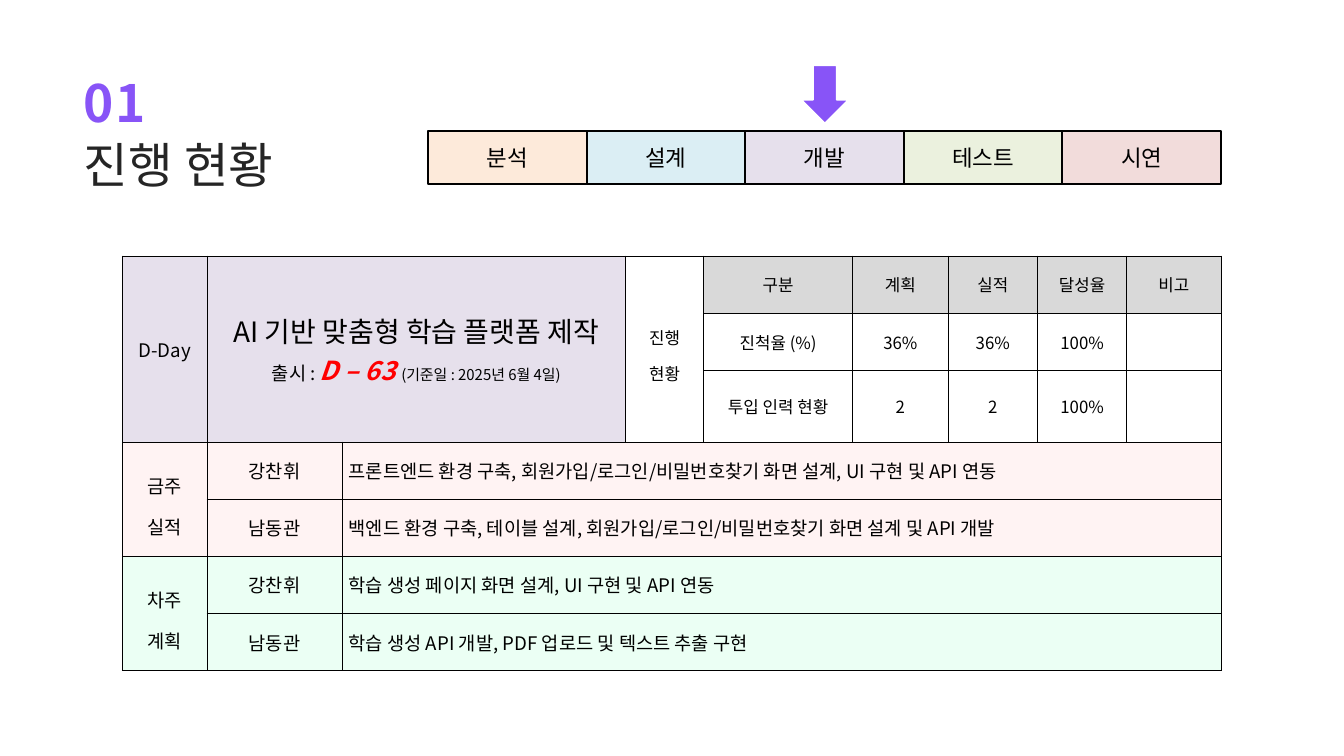
from dataclasses import dataclass

from lxml import etree
from pptx import Presentation
from pptx.dml.color import RGBColor
from pptx.enum.shapes import MSO_SHAPE
from pptx.enum.text import MSO_ANCHOR, MSO_AUTO_SIZE, PP_ALIGN
from pptx.oxml.ns import qn
from pptx.util import Pt

EMU_PER_PX = 9144  # 100 px to the inch
FONT = "Noto Sans CJK KR"
LEFT, CENTER = PP_ALIGN.LEFT, PP_ALIGN.CENTER
MIDDLE = MSO_ANCHOR.MIDDLE
FIT_TEXT = MSO_AUTO_SIZE.SHAPE_TO_FIT_TEXT
RECTANGLE, DOWN_ARROW = MSO_SHAPE.RECTANGLE, MSO_SHAPE.DOWN_ARROW

COLORS = {
    "black": "000000", "white": "FFFFFF", "ink": "252525", "red": "FF0000",
    "violet": "8854F7", "peach": "FDEADA", "sky": "DBEEF4", "lilac": "E6E0EC",
    "lime": "EBF1DE", "rose": "F2DCDB", "gray": "D9D9D9",
    "pink": "FFF3F3", "mint": "EBFFF4",
}


@dataclass(frozen=True)
class Span:
    text: str
    size: int
    color: str = "black"
    bold: bool = False
    italic: bool = False
    tracking: int = 0  # hundredths of a point


@dataclass(frozen=True)
class Line:
    spans: tuple[Span, ...]
    align: PP_ALIGN = CENTER
    spacing: object = None


@dataclass(frozen=True)
class Title:
    area: tuple[int, int, int, int]
    line: Line


@dataclass(frozen=True)
class Stage:
    name: str
    fill: str


@dataclass(frozen=True)
class Entry:
    row: int
    column: int
    lines: tuple[Line, ...]
    fill: str
    rows: int = 1
    columns: int = 1


def px(*lengths: int) -> list[int]:
    return [length * EMU_PER_PX for length in lengths]


def rgb(name: str) -> RGBColor:
    return RGBColor.from_string(COLORS[name])


def write(frame, lines: tuple[Line, ...]) -> None:
    for index, line in enumerate(lines):
        para = frame.add_paragraph() if index else frame.paragraphs[0]
        para.alignment = line.align
        if line.spacing:
            para.line_spacing = line.spacing
        for span in line.spans:
            for part, text in enumerate(span.text.split("\n")):
                if part:
                    para.add_line_break()
                run = para.add_run()
                run.text = text
                style = {"name": FONT, "size": Pt(span.size),
                         "bold": span.bold, "italic": span.italic}
                for name, value in style.items():
                    setattr(run.font, name, value)
                run.font.color.rgb = rgb(span.color)
                properties = run.font._element
                etree.SubElement(properties, qn("a:ea"), typeface=FONT)
                if span.tracking:
                    properties.set("spc", str(span.tracking))


def add_title(page, title: Title) -> None:
    frame = page.shapes.add_textbox(*px(*title.area)).text_frame
    style = {"margin_left": 0, "margin_right": 0, "margin_top": 0,
             "margin_bottom": 0, "word_wrap": True, "auto_size": FIT_TEXT}
    for name, value in style.items():
        setattr(frame, name, value)
    write(frame, (title.line,))


def add_block(page, kind, area: tuple[int, int, int, int], fill: str, line: str):
    shape = page.shapes.add_shape(kind, *px(*area))
    shape.shadow.inherit = False
    shape.fill.solid()
    shape.fill.fore_color.rgb = rgb(fill)
    shape.line.color.rgb = rgb(line)
    shape.line.width = Pt(2)
    return shape


def style_cell(cell, fill: str) -> None:
    cell.fill.solid()
    cell.fill.fore_color.rgb = rgb(fill)
    cell.vertical_anchor = MIDDLE
    properties = cell._tc.get_or_add_tcPr()
    for index, side in enumerate(("lnL", "lnR", "lnT", "lnB")):
        border = etree.Element(qn(f"a:{side}"), w=str(Pt(1)))
        paint = etree.SubElement(border, qn("a:solidFill"))
        etree.SubElement(paint, qn("a:srgbClr"), val=COLORS["black"])
        properties.insert(index, border)


def add_entry(table, entry: Entry) -> None:
    first = table.cell(entry.row, entry.column)
    bottom, right = entry.row + entry.rows, entry.column + entry.columns
    if entry.rows * entry.columns > 1:
        first.merge(table.cell(bottom - 1, right - 1))
    for row in range(entry.row, bottom):
        for column in range(entry.column, right):
            style_cell(table.cell(row, column), entry.fill)
    write(first.text_frame, entry.lines)


def plain(text: str, size: int, align=CENTER, spacing=None) -> tuple[Line, ...]:
    return (Line((Span(text, size),), align, spacing),)


TITLES = (
    Title((125, 45, 153, 138),
          Line((Span("01", 55, "violet", bold=True, tracking=130),), LEFT, Pt(110))),
    Title((125, 143, 580, 131), Line((Span("진행 현황", 52, "ink"),), LEFT, Pt(104))),
)
STAGES = (Stage("분석", "peach"), Stage("설계", "sky"), Stage("개발", "lilac"),
          Stage("테스트", "lime"), Stage("시연", "rose"))
STAGE_LEFT, STAGE_TOP, STAGE_WIDTH, STAGE_HEIGHT = 637, 195, 236, 79
ARROW = (1192, 97, 71, 87)

TABLE_LEFT, TABLE_TOP = 182, 381
COLUMN_WIDTHS = (126, 201, 422, 116, 222, 142, 133, 133, 140)
ROW_HEIGHTS = (85, 85, 91, 85, 85, 85, 85)
PROJECT = (
    Line((Span("AI 기반 맞춤형 학습 플랫폼 제작", 30),)),
    Line((Span("출시 : ", 20), Span("D – 63 ", 28, "red", bold=True, italic=True),
          Span("(기준일 : 2025년 6월 4일)", 16))),
)
STATUS = (
    ("구분", "계획", "실적", "달성율", "비고"),
    ("진척율 (%)", "36%", "36%", "100%", ""),
    ("투입 인력 현황", "2", "2", "100%", ""),
)
TASKS = (
    ("금주\n실적", "pink", (
        ("강찬휘", "프론트엔드 환경 구축, 회원가입/로그인/비밀번호찾기 화면 설계, UI 구현 및 API 연동"),
        ("남동관", "백엔드 환경 구축, 테이블 설계, 회원가입/로그인/비밀번호찾기 화면 설계 및 API 개발"))),
    ("차주\n계획", "mint", (
        ("강찬휘", "학습 생성 페이지 화면 설계, UI 구현 및 API 연동"),
        ("남동관", "학습 생성 API 개발, PDF 업로드 및 텍스트 추출 구현"))),
)


def table_entries() -> list[Entry]:
    entries = [
        Entry(0, 0, plain("D-Day", 20), "lilac", rows=3),
        Entry(0, 1, PROJECT, "lilac", rows=3, columns=2),
        Entry(0, 3, plain("진행\n현황", 18, spacing=1.5), "white", rows=3),
    ]
    for row, values in enumerate(STATUS):
        for column, value in enumerate(values, start=4):
            lines = plain(value, 18) if value else ()
            entries.append(Entry(row, column, lines, "white" if row else "gray"))
    row = len(STATUS)
    for period, fill, people in TASKS:
        entries.append(Entry(row, 0, plain(period, 20, spacing=1.5), fill, rows=len(people)))
        for person, work in people:
            entries.append(Entry(row, 1, plain(person, 20), fill))
            entries.append(Entry(row, 2, plain(work, 20, LEFT), fill, columns=7))
            row += 1
    return entries


def main() -> None:
    deck = Presentation()
    deck.slide_width, deck.slide_height = px(2000, 1125)
    page = deck.slides.add_slide(deck.slide_layouts[6])

    # Heading
    for title in TITLES:
        add_title(page, title)

    # Project stages, with an arrow at the current one
    for index, stage in enumerate(STAGES):
        area = (STAGE_LEFT + index * STAGE_WIDTH, STAGE_TOP, STAGE_WIDTH, STAGE_HEIGHT)
        box = add_block(page, RECTANGLE, area, stage.fill, "black")
        box.text_frame.vertical_anchor = MIDDLE
        write(box.text_frame, plain(stage.name, 24))
    add_block(page, DOWN_ARROW, ARROW, "violet", "white")

    # Progress table
    area = (TABLE_LEFT, TABLE_TOP, sum(COLUMN_WIDTHS), sum(ROW_HEIGHTS))
    table = page.shapes.add_table(len(ROW_HEIGHTS), len(COLUMN_WIDTHS), *px(*area)).table
    table.first_row = table.horz_banding = False
    for column, width in zip(table.columns, px(*COLUMN_WIDTHS)):
        column.width = width
    for row, height in zip(table.rows, px(*ROW_HEIGHTS)):
        row.height = height
    for entry in table_entries():
        add_entry(table, entry)

    deck.save("out.pptx")


if __name__ == "__main__":
    main()
